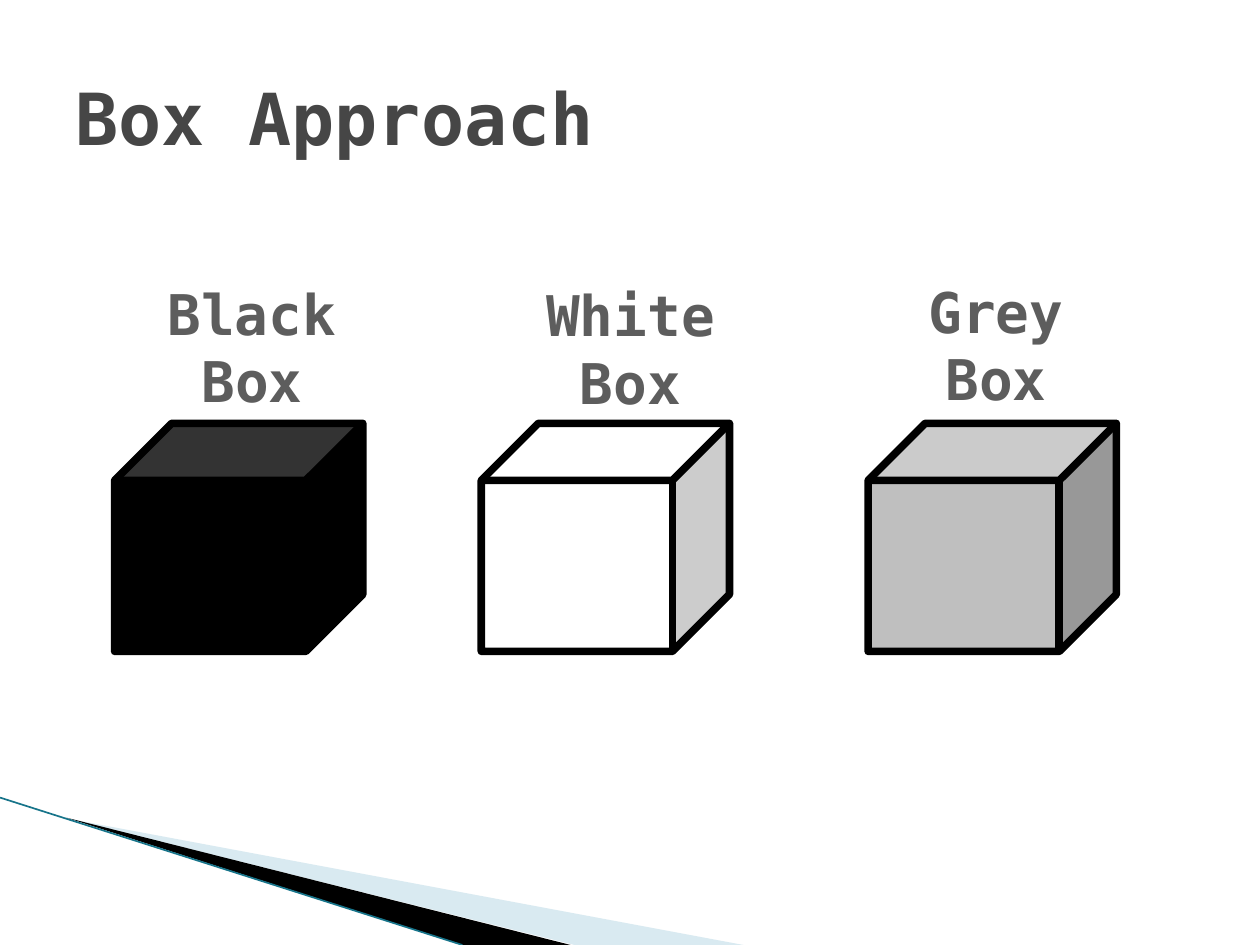
from pptx import Presentation
from pptx import util as u
from pptx.dml.color import RGBColor
from pptx.enum import shapes, text
from pptx.oxml.ns import qn
from lxml import etree

COLORS = {
    "title": "464646", "label": "5D5D5D", "outline": "000000",
    "black": "000000", "white": "FFFFFF", "grey": "BFBFBF",
    "pale": "A0CBDC", "teal": "17748A",
}
FONT = "DejaVu Sans Mono"


class SlideBuilder:
    def __init__(self, slide):
        self.slide = slide

    def color(self, name):
        return RGBColor.from_string(COLORS[name])

    def set_text(self, frame, content, size, color, align):
        frame.text = content
        frame.word_wrap = True
        for paragraph in frame.paragraphs:
            paragraph.alignment = align
            for run in paragraph.runs:
                run.font.name = FONT
                run.font.size = u.Pt(size)
                run.font.bold = True
                run.font.color.rgb = self.color(color)

    def title(self, content, *box):
        heading = self.slide.shapes.title
        heading.left, heading.top, heading.width, heading.height = map(u.Inches, box)
        heading.text_frame.vertical_anchor = text.MSO_ANCHOR.MIDDLE
        self.set_text(heading.text_frame, content, 41, "title", text.PP_ALIGN.LEFT)

    def label(self, content, *box):
        caption = self.slide.shapes.add_textbox(*map(u.Inches, box))
        self.set_text(caption.text_frame, content, 32, "label", text.PP_ALIGN.CENTER)

    def cube(self, fill, *box):
        cube = self.slide.shapes.add_shape(
            shapes.MSO_SHAPE.CUBE, *map(u.Inches, box))
        cube.shadow.inherit = False
        cube.fill.solid()
        cube.fill.fore_color.rgb = self.color(fill)
        cube.line.color.rgb = self.color("outline")
        cube.line.width = u.Pt(4.33)

    def wedge(self, points, fill, opacity=100):
        start, *rest = [tuple(map(u.Inches, point)) for point in points]
        outline = self.slide.shapes.build_freeform(*start)
        outline.add_line_segments(rest)
        wedge = outline.convert_to_shape()
        wedge.shadow.inherit = False
        wedge.line.fill.background()
        wedge.fill.solid()
        wedge.fill.fore_color.rgb = self.color(fill)
        if opacity < 100:
            solid = wedge._element.spPr.find(qn("a:solidFill"))
            tint = solid.find(qn("a:srgbClr"))
            etree.SubElement(tint, qn("a:alpha"), val=str(opacity * 1000))

    def line(self, color, width, *ends):
        edge = self.slide.shapes.add_connector(
            shapes.MSO_CONNECTOR.STRAIGHT, *map(u.Inches, ends))
        edge.line.color.rgb = self.color(color)
        edge.line.width = u.Pt(width)
        etree.SubElement(edge._element.spPr, qn("a:effectLst"))


def main():
    deck = Presentation()
    deck.slide_width, deck.slide_height = u.Inches(10), u.Inches(7.5)
    page = SlideBuilder(deck.slides.add_slide(deck.slide_layouts[5]))

    page.wedge([(0.55, 6.5), (5.9, 7.5), (4.56, 7.5)], "pale", 40)
    page.wedge([(0.53, 6.49), (4.53, 7.5), (3.67, 7.5)], "black")
    page.line("teal", 0.95, 0, 6.33, 3.67, 7.5)
    page.title("Box Approach", 0.5, 0.3, 9, 1.25)

    boxes = [
        ("Black", 0.91, 0.83, 2.17, 2.34),
        ("White", 3.82, 3.81, 2.18, 2.39),
        ("Grey", 6.89, 6.88, 2.15, 2.05),
    ]
    for kind, cube_left, label_left, label_top, label_width in boxes:
        page.cube(kind.lower(), cube_left, 3.36, 1.97, 1.81)
        page.label(f"{kind}\nBox", label_left, label_top, label_width, 1.18)

    deck.save("out.pptx")


if __name__ == "__main__":
    main()
